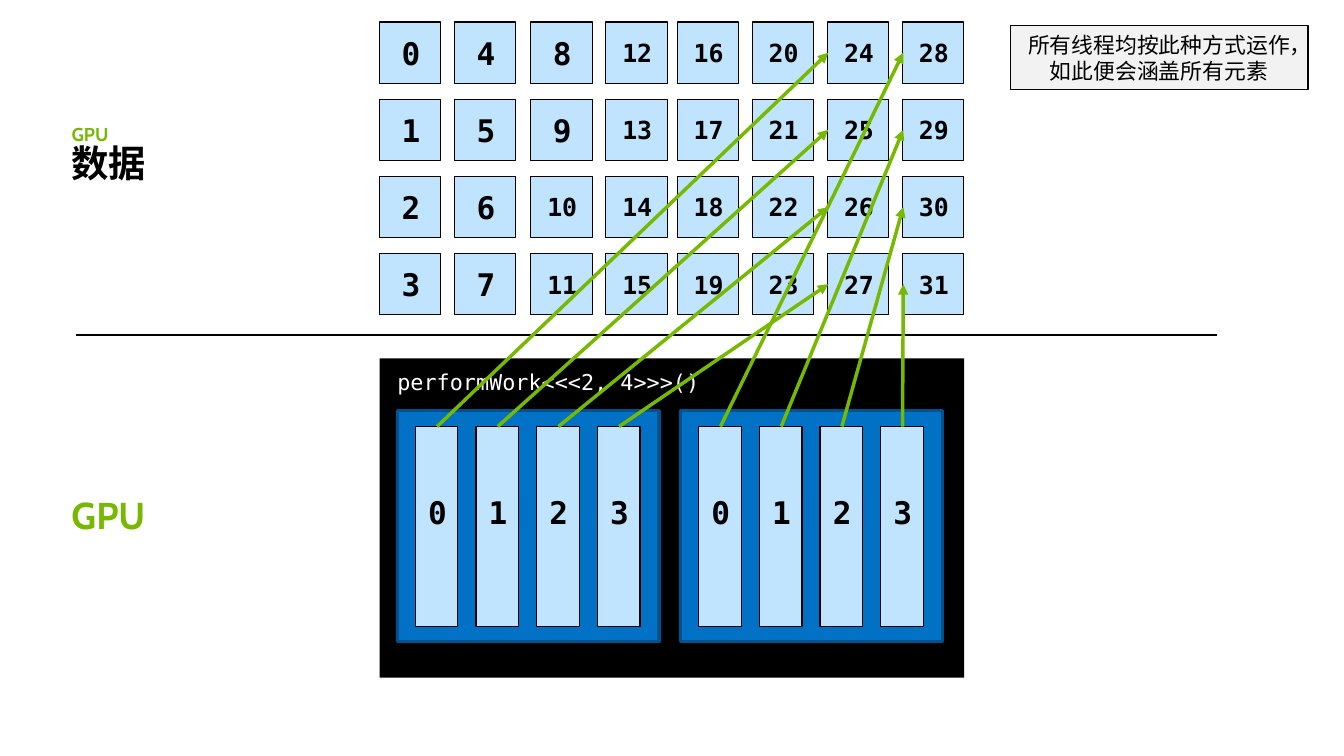
"""Build a slide showing how GPU threads map onto data elements."""
import pptx
import pptx.dml.color
import pptx.enum.shapes
import pptx.enum.text
import pptx.oxml
import pptx.oxml.ns
import pptx.util

Pt = pptx.util.Pt
RGBColor = pptx.dml.color.RGBColor
ALIGN = pptx.enum.text.PP_ALIGN
ANCHOR = pptx.enum.text.MSO_ANCHOR

BLACK = RGBColor(0x00, 0x00, 0x00)
WHITE = RGBColor(0xFF, 0xFF, 0xFF)
GREEN = RGBColor(0x76, 0xB9, 0x00)
BLUE = RGBColor(0x00, 0x71, 0xC5)
DARK_BLUE = RGBColor(0x00, 0x52, 0x8F)
PALE_BLUE = RGBColor(0xC0, 0xE3, 0xFE)
PALE_GRAY = RGBColor(0xF2, 0xF2, 0xF2)

MONO = "DejaVu Sans Mono"
DATA_ROWS = 4
THREADS = 4
PAIR_LEFTS = (244, 341.3, 435.4, 532)
DATA_LEFTS = [left + shift for left in PAIR_LEFTS for shift in (0, 48.2)]
DATA_TOP, DATA_STEP, DATA_SIZE = 14.2, 49.6, 39.4
BLOCK_LEFTS = (255.4, 437.6)
BLOCK_TOP = 264
THREAD_TOP, THREAD_STEP, THREAD_WIDTH = 274.2, 39, 27.4


def write(shape, text, size, font, color, bold=False, align=ALIGN.CENTER,
          anchor=ANCHOR.MIDDLE, spacing=1.0, insets=(7.2, 3.6, 7.2, 3.6)):
    """Put one formatted paragraph in a shape."""
    frame = shape.text_frame
    left, top, right, bottom = map(Pt, insets)
    frame_format = {"word_wrap": True, "vertical_anchor": anchor, "margin_left": left,
                    "margin_top": top, "margin_right": right, "margin_bottom": bottom}
    paragraph = frame.paragraphs[0]
    paragraph.text = text
    formats = (
        (frame, frame_format),
        (paragraph, {"alignment": align, "line_spacing": spacing}),
        (paragraph.font, {"size": Pt(size), "name": font, "bold": bold}),
        (paragraph.font.color, {"rgb": color}),
    )
    for target, values in formats:
        for attribute, value in values.items():
            setattr(target, attribute, value)


def add_box(slide, box, fill, outline=None, weight=0.75):
    """Add a filled rectangle with an optional outline."""
    shape = slide.shapes.add_shape(
        pptx.enum.shapes.MSO_SHAPE.RECTANGLE, *map(Pt, box))
    shape.shadow.inherit = False
    shape.fill.solid()
    shape.fill.fore_color.rgb = fill
    if outline is None:
        shape.line.fill.background()
    else:
        shape.line.color.rgb = outline
        shape.line.width = Pt(weight)
    return shape


def add_label(slide, box, text, size, color):
    """Add a bold side label."""
    label = slide.shapes.add_textbox(*map(Pt, box))
    write(label, text, size, "Cabin", color, bold=True, align=ALIGN.LEFT,
          anchor=ANCHOR.BOTTOM, spacing=0.9)


def add_line(slide, start, end, color, weight, arrow=False):
    """Add a straight line, with an arrowhead at its end if wanted."""
    line = slide.shapes.add_connector(
        pptx.enum.shapes.MSO_CONNECTOR.STRAIGHT, *map(Pt, start + end))
    line.line.color.rgb = color
    line.line.width = Pt(weight)
    properties = line._element.spPr
    if arrow:
        head = pptx.oxml.parse_xml(
            f'<a:tailEnd {pptx.oxml.ns.nsdecls("a")} type="triangle"/>')
        line.line._get_or_add_ln().append(head)
    properties.append(pptx.oxml.parse_xml(
        f'<a:effectLst {pptx.oxml.ns.nsdecls("a")}/>'))


def add_kernel(slide):
    """Draw the kernel launch with its blocks of threads."""
    add_box(slide, (244, 230.4, 375.8, 205.2), BLACK)
    command = add_box(slide, (248.4, 236.2, 220.3, 18.7), BLACK)
    write(command, "performWork<<<2, 4>>>()", 14, MONO, WHITE, align=ALIGN.LEFT)
    for block_left in BLOCK_LEFTS:
        add_box(slide, (block_left, BLOCK_TOP, 168.3, 148.5), BLUE, DARK_BLUE, 2)
        for thread in range(THREADS):
            left = block_left + 11.6 + thread * THREAD_STEP
            bar = add_box(slide, (left, THREAD_TOP, THREAD_WIDTH, 128.8),
                          PALE_BLUE, BLACK)
            write(bar, str(thread), 20, MONO, BLACK, bold=True,
                  insets=(1, 0, 0, 19))


def add_data(slide):
    """Draw the data elements, numbered down each column."""
    for column, left in enumerate(DATA_LEFTS):
        for row in range(DATA_ROWS):
            number = column * DATA_ROWS + row
            top = DATA_TOP + row * DATA_STEP
            tile = add_box(slide, (left, top, DATA_SIZE, DATA_SIZE), PALE_BLUE, BLACK)
            write(tile, str(number), 20 if number < 10 else 16, MONO, BLACK,
                  bold=True, insets=(1, 0, 0, 0))


def add_mapping(slide):
    """Point every thread at its element in the last columns."""
    for block_left, data_left in zip(BLOCK_LEFTS, DATA_LEFTS[-2:]):
        for thread in range(THREADS):
            start = (block_left + 25.6 + thread * THREAD_STEP, THREAD_TOP)
            end = (data_left + 0.5, DATA_TOP + thread * DATA_STEP + DATA_SIZE / 2)
            add_line(slide, start, end, GREEN, 2.25, arrow=True)


def main():
    """Assemble and save the slide."""
    deck = pptx.Presentation()
    deck.slide_width, deck.slide_height = Pt(864), Pt(486)
    slide = deck.slides.add_slide(deck.slide_layouts[6])
    add_kernel(slide)
    add_data(slide)
    add_line(slide, (49, 215.3), (782.6, 215.3), BLACK, 1.5)
    add_label(slide, (38.9, 316, 69.8, 33.1), "GPU", 24, GREEN)
    add_label(slide, (38.9, 90, 79.2, 33.1), "数据", 24, BLACK)
    add_label(slide, (38.9, 77, 39.6, 20.2), "GPU", 12, GREEN)
    add_mapping(slide)
    note = add_box(slide, (649.4, 16.6, 191.5, 41), PALE_GRAY, BLACK)
    write(note, "所有线程均按此种方式运作，如此便会涵盖所有元素", 14, "Arial", BLACK,
          anchor=ANCHOR.TOP)
    deck.save("out.pptx")


if __name__ == "__main__":
    main()
